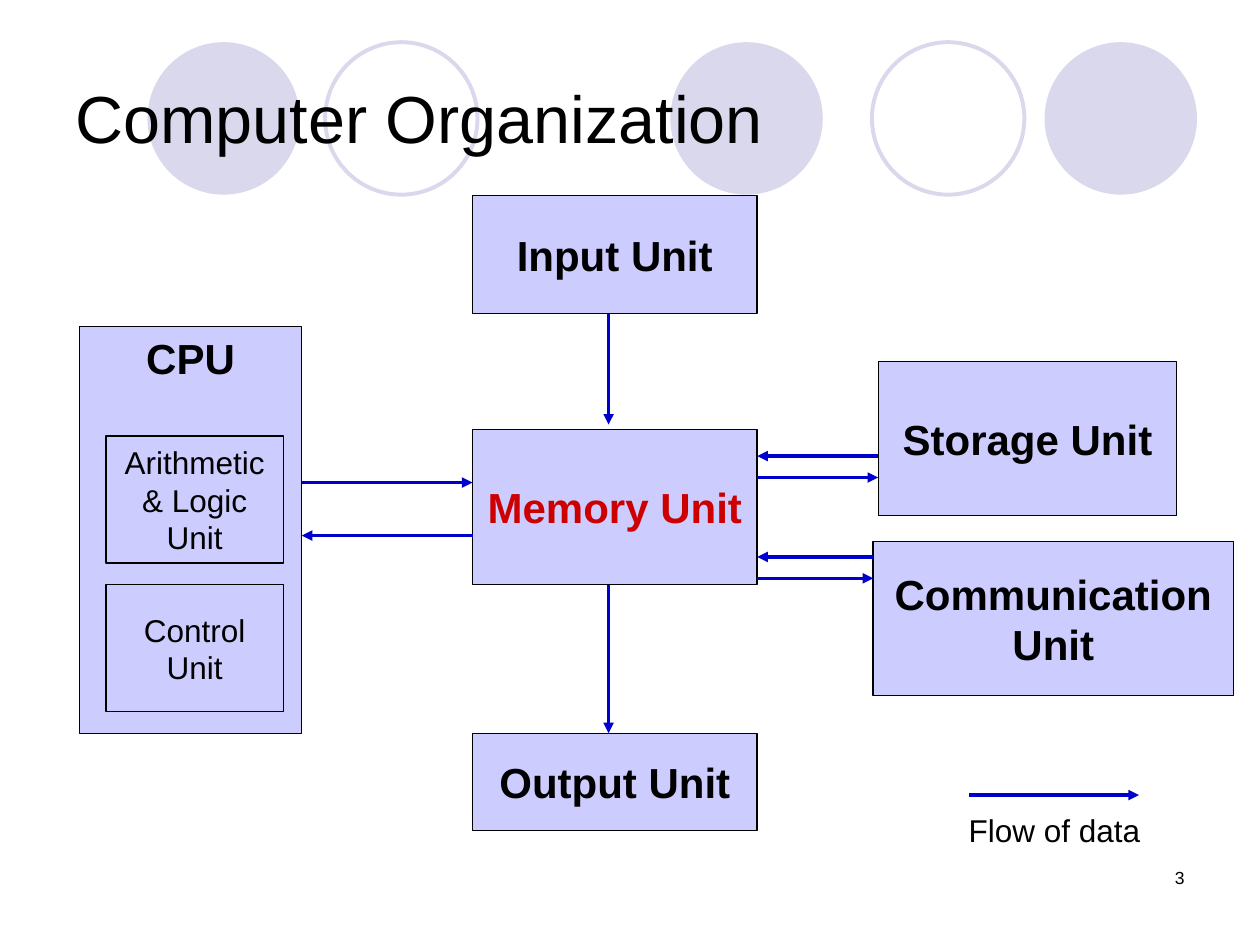
from lxml.etree import SubElement
from pptx import Presentation
from pptx.dml.color import RGBColor
from pptx.enum.shapes import MSO_CONNECTOR, MSO_SHAPE
from pptx.enum.text import MSO_ANCHOR as ANCHOR, PP_ALIGN as ALIGN
from pptx.oxml.ns import qn
from pptx.util import Inches, Pt

COLORS = {"circle": "D9D8EC", "box": "CCCCFF", "text": "000000",
          "memory": "CC0000", "flow": "0000CC"}
FONT = "Arial"
CELL = 0.1  # the 10 x 7.5 inch slide is a grid of 100 columns by 75 rows

# Grid edges shared by boxes and arrows
CPU_LEFT, CPU_RIGHT = 6.3, 23.95
MID_LEFT, MID_WIDTH = 37.5, 22.6
MID_RIGHT, MID_AXIS = MID_LEFT + MID_WIDTH, 48.3
STORAGE_LEFT, COMM_LEFT = 69.7, 69.3
INPUT_BOTTOM, MEMORY_TOP, MEMORY_BOTTOM, OUTPUT_TOP = 24.9, 34.1, 46.4, 58.2


def grid(*cells):
    """Turn grid columns or rows into slide lengths."""
    return [Inches(c * CELL) for c in cells]


def color(name):
    """Look up a named colour."""
    return RGBColor.from_string(COLORS[name])


def write(sp, text, size, ink="text", bold=False, align=ALIGN.LEFT,
          anchor=ANCHOR.TOP, wrap=True):
    """Put text in a shape, one paragraph per line."""
    tf = sp.text_frame
    tf.text = text
    tf.word_wrap = wrap
    tf.vertical_anchor = anchor
    for p in tf.paragraphs:
        p.alignment = align
        p.font.name, p.font.size, p.font.bold = FONT, Pt(size), bold
        p.font.color.rgb = color(ink)


def add_circle(slide, left, filled):
    """Add a background circle, either solid or as a ring."""
    sp = slide.shapes.add_shape(MSO_SHAPE.OVAL, *grid(left, 3.35, 12.1, 12.1))
    sp.shadow.inherit = False
    if filled:
        sp.fill.solid()
        sp.fill.fore_color.rgb = color("circle")
        sp.line.fill.background()
    else:
        sp.fill.background()
        sp.line.color.rgb = color("circle")
        sp.line.width = Pt(2.25)


def add_box(slide, at, text, size=24, bold=True, ink="text",
            anchor=ANCHOR.MIDDLE, wrap=True):
    """Add an outlined box with a centred label."""
    sp = slide.shapes.add_shape(MSO_SHAPE.RECTANGLE, *grid(*at))
    sp.shadow.inherit = False
    sp.fill.solid()
    sp.fill.fore_color.rgb = color("box")
    sp.line.color.rgb = color("text")
    sp.line.width = Pt(0.75)
    write(sp, text, size, ink, bold, ALIGN.CENTER, anchor, wrap)


def add_label(slide, at, text, size, **style):
    """Add free-standing text."""
    write(slide.shapes.add_textbox(*grid(*at)), text, size, **style)


def add_flow(slide, x1, y1, x2, y2):
    """Add an arrow pointing the way the data flows."""
    line = slide.shapes.add_connector(MSO_CONNECTOR.STRAIGHT,
                                      *grid(x1, y1, x2, y2))
    line.line.color.rgb = color("flow")
    line.line.width = Pt(2)
    SubElement(line.line._get_or_add_ln(), qn("a:tailEnd"), type="triangle")
    SubElement(line._element.spPr, qn("a:effectLst"))


def main():
    """Build the computer organization slide."""
    prs = Presentation()
    prs.slide_width, prs.slide_height = grid(100, 75)
    slide = prs.slides.add_slide(prs.slide_layouts[6])

    for left, filled in ((11.7, True), (25.8, False), (53.2, True),
                         (69.2, False), (82.9, True)):
        add_circle(slide, left, filled)
    add_label(slide, (5, 3, 90, 12.5), "Computer Organization", 38,
              anchor=ANCHOR.MIDDLE)

    add_box(slide, (CPU_LEFT, 25.9, CPU_RIGHT - CPU_LEFT, 32.3), "CPU",
            anchor=ANCHOR.TOP, wrap=False)
    for top, text in ((34.6, "Arithmetic\n& Logic\nUnit"),
                      (46.4, "Control\nUnit")):
        add_box(slide, (8.4, top, 14.1, 10.1), text, size=18, bold=False,
                wrap=False)

    for top, bottom, text, ink in (
            (15.5, INPUT_BOTTOM, "Input Unit", "text"),
            (MEMORY_TOP, MEMORY_BOTTOM, "Memory Unit", "memory"),
            (OUTPUT_TOP, 65.9, "Output Unit", "text")):
        add_box(slide, (MID_LEFT, top, MID_WIDTH, bottom - top), text, ink=ink)
    add_box(slide, (STORAGE_LEFT, 28.7, 23.7, 12.2), "Storage Unit")
    add_box(slide, (COMM_LEFT, 43, 28.6, 12.2), "Communication Unit")

    # Each pair: left edge, right edge, row going right, row going left
    for left, right, row_out, row_back in (
            (CPU_RIGHT, MID_LEFT, 38.3, 42.5),
            (MID_RIGHT, STORAGE_LEFT, 37.9, 36.2),
            (MID_RIGHT, COMM_LEFT, 45.9, 44.2)):
        add_flow(slide, left, row_out, right, row_out)
        add_flow(slide, right, row_back, left, row_back)
    add_flow(slide, MID_AXIS, INPUT_BOTTOM, MID_AXIS, 33.7)
    add_flow(slide, MID_AXIS, MEMORY_BOTTOM, MID_AXIS, OUTPUT_TOP)

    add_flow(slide, 76.9, 63.1, 90.4, 63.1)
    add_label(slide, (75.9, 63.9, 15.6, 4), "Flow of data", 18, wrap=False)
    add_label(slide, (71.7, 68.3, 23.3, 5), "3", 10, align=ALIGN.RIGHT)

    prs.save("out.pptx")


main()
